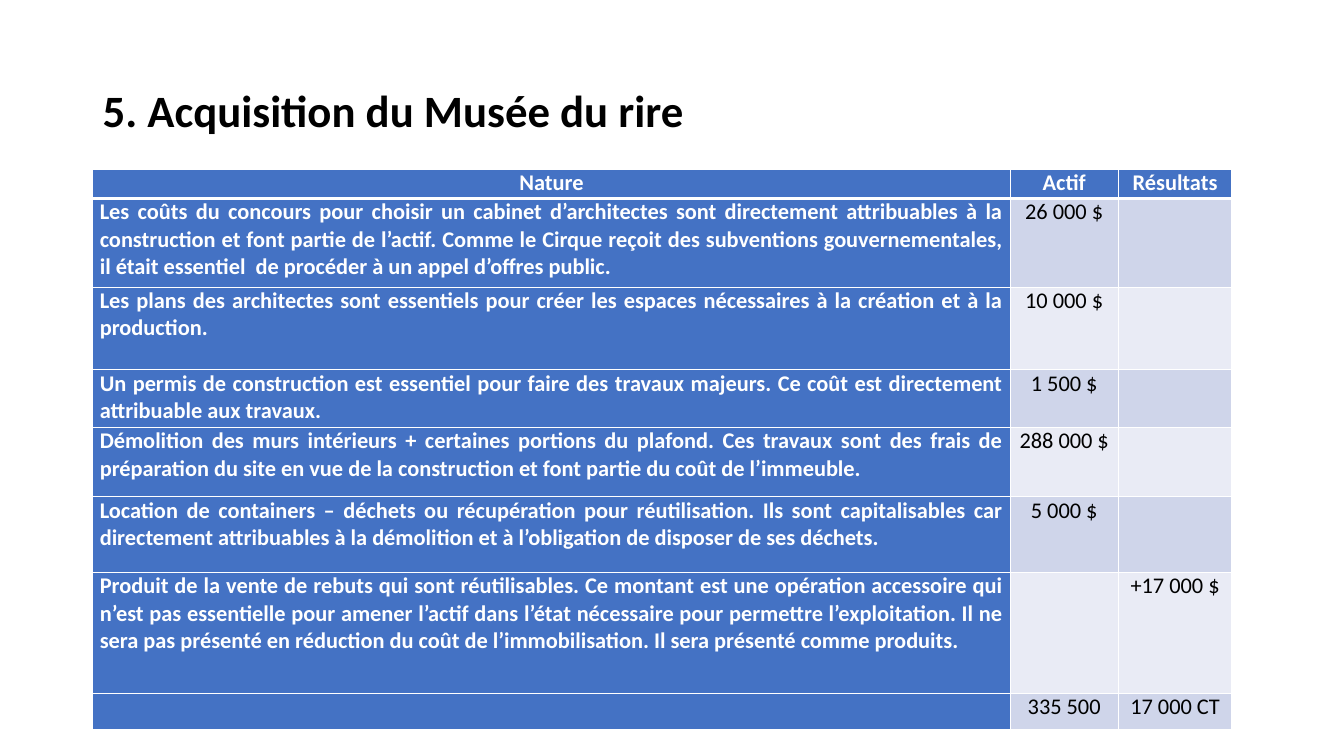
"""Build the slide on the acquisition of the Musée du rire."""
from lxml.etree import SubElement
from pptx import Presentation
from pptx.dml.color import RGBColor
from pptx.enum.text import MSO_ANCHOR, PP_ALIGN
from pptx.oxml.ns import qn
from pptx.util import Inches, Pt

TITLE = "5. Acquisition du Musée du rire"
ROWS = [
    ("Nature", "Actif", "Résultats"),
    ("Les coûts du concours pour choisir un cabinet d’architectes sont directement "
     "attribuables à la construction et font partie de l’actif. Comme le Cirque reçoit "
     "des subventions gouvernementales, il était essentiel  de procéder à un appel "
     "d’offres public.", "26 000 $", ""),
    ("Les plans des architectes sont essentiels pour créer les espaces nécessaires à la "
     "création et à la production.", "10 000 $", ""),
    ("Un permis de construction est essentiel pour faire des travaux majeurs. Ce coût est "
     "directement attribuable aux travaux.", "1 500 $", ""),
    ("Démolition des murs intérieurs + certaines portions du plafond. Ces travaux sont des "
     "frais de préparation du site en vue de la construction et font partie du coût de "
     "l’immeuble.", "288 000 $", ""),
    ("Location de containers – déchets ou récupération pour réutilisation. Ils sont "
     "capitalisables car directement attribuables à la démolition et à l’obligation de "
     "disposer de ses déchets.", "5 000 $", ""),
    ("Produit de la vente de rebuts qui sont réutilisables. Ce montant est une opération "
     "accessoire qui n’est pas essentielle pour amener l’actif dans l’état nécessaire pour "
     "permettre l’exploitation. Il ne sera pas présenté en réduction du coût de "
     "l’immobilisation. Il sera présenté comme produits.", "", "+17 000 $"),
    ("", "335 500", "17 000 CT"),
]
COLUMN_WIDTHS = (9.1, 1.07, 1.13)
ROW_HEIGHTS = (0.29, 0.88, 0.82, 0.57, 0.69, 0.75, 1.2, 0.36)

FONT = "Calibri"
BLACK = RGBColor(0x00, 0x00, 0x00)
WHITE = RGBColor(0xFF, 0xFF, 0xFF)
BLUE = RGBColor(0x44, 0x72, 0xC4)
BANDS = (RGBColor(0xE9, 0xEB, 0xF5), RGBColor(0xCF, 0xD5, 0xEA))


def style_font(font, size, color, bold):
    font.name = FONT
    font.size = Pt(size)
    font.bold = bold
    font.color.rgb = color


def add_border(cell, side, points):
    properties = cell._tc.get_or_add_tcPr()
    line = SubElement(properties, qn(f"a:ln{side}"), w=str(Pt(points)))
    fill = SubElement(line, qn("a:solidFill"))
    SubElement(fill, qn("a:srgbClr"), val=str(WHITE))


def fill_cell(cell, text, row, column):
    for side in "LRTB":
        under_header = (row, side) in ((0, "B"), (1, "T"))
        add_border(cell, side, 3 if under_header else 1)
    heading = row == 0 or column == 0
    cell.fill.solid()
    cell.fill.fore_color.rgb = BLUE if heading else BANDS[row % 2]
    cell.margin_left = cell.margin_right = Inches(0.07)
    cell.margin_top = cell.margin_bottom = 0
    cell.text = text
    paragraph = cell.text_frame.paragraphs[0]
    paragraph.alignment = PP_ALIGN.JUSTIFY if row and column == 0 else PP_ALIGN.CENTER
    style_font(paragraph.font, 16, WHITE if heading else BLACK, heading)


def add_title(slide):
    box = slide.shapes.add_textbox(Inches(0.92), Inches(0.4), Inches(11.5), Inches(1.45))
    frame = box.text_frame
    frame.word_wrap = True
    frame.vertical_anchor = MSO_ANCHOR.MIDDLE
    paragraph = frame.paragraphs[0]
    paragraph.text = TITLE
    paragraph.line_spacing = 0.9
    style_font(paragraph.font, 32, BLACK, True)


def add_costs(slide):
    table = slide.shapes.add_table(
        len(ROWS), len(COLUMN_WIDTHS), Inches(0.92), Inches(1.68),
        Inches(sum(COLUMN_WIDTHS)), Inches(sum(ROW_HEIGHTS))).table
    for column, width in zip(table.columns, COLUMN_WIDTHS):
        column.width = Inches(width)
    for row, height in zip(table.rows, ROW_HEIGHTS):
        row.height = Inches(height)
    for row, texts in enumerate(ROWS):
        for column, text in enumerate(texts):
            fill_cell(table.cell(row, column), text, row, column)


def main():
    presentation = Presentation()
    presentation.slide_width = Inches(13.33)
    presentation.slide_height = Inches(7.5)
    slide = presentation.slides.add_slide(presentation.slide_layouts[6])
    add_title(slide)
    add_costs(slide)
    presentation.save("out.pptx")


if __name__ == "__main__":
    main()
